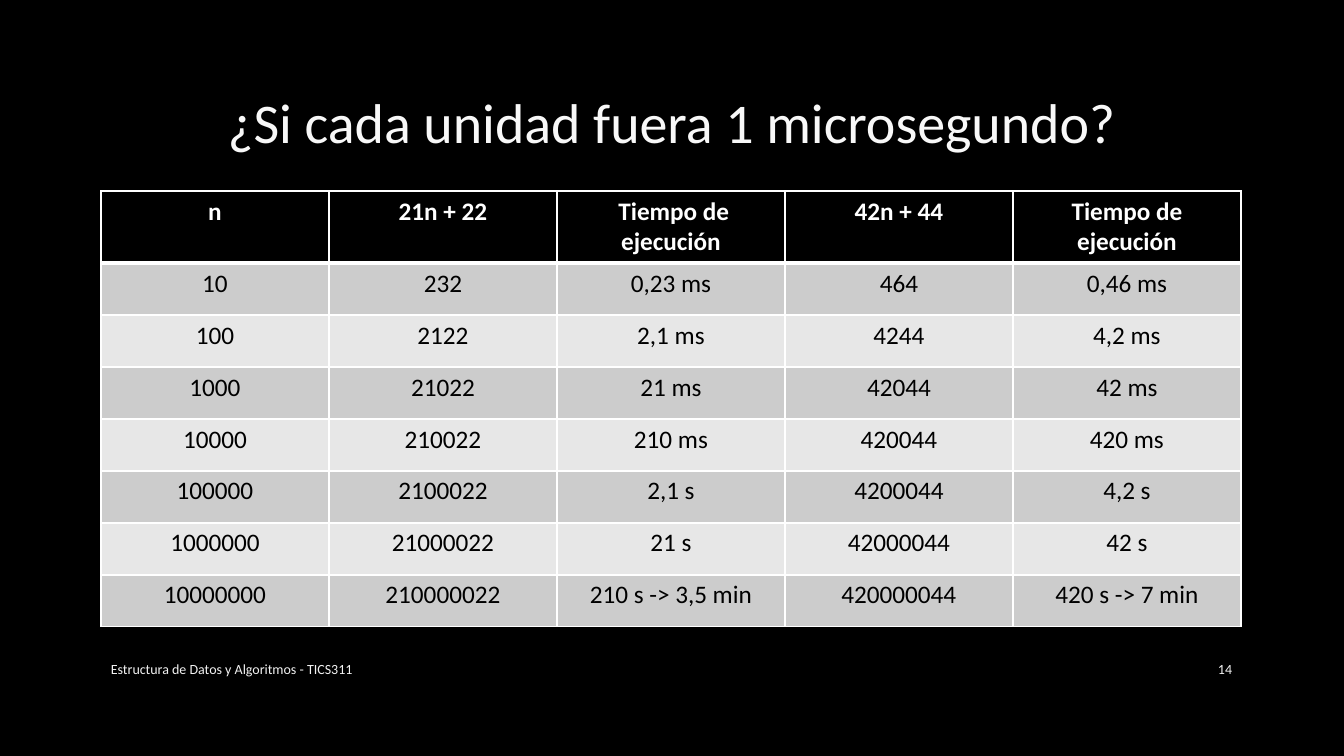
from dataclasses import dataclass

from lxml import etree
from pptx import Presentation
from pptx import util as u
from pptx.dml.color import RGBColor
from pptx.enum import text
from pptx.oxml import ns

EMU_PER_PX = 914400 / 100.8


@dataclass(frozen=True)
class Theme:
    font: str = "Calibri"
    background: str = "000000"
    title: str = "F8F8F8"
    footer: str = "F2F2F2"
    header_fill: str = "000000"
    header_text: str = "FFFFFF"
    body_text: str = "000000"
    bands: tuple[str, str] = ("CCCCCC", "E7E7E7")
    border: str = "FFFFFF"
    title_size: int = 40
    table_size: int = 18
    footer_size: int = 10


@dataclass(frozen=True)
class Label:
    content: str
    left: int
    top: int
    width: int
    height: int
    size: int
    color: str
    align: text.PP_ALIGN


THEME = Theme()
LEFT, TABLE_TOP = 101, 191
COLUMN_WIDTH, HEADER_HEIGHT, ROW_HEIGHT = 228, 72, 52
FOOTER_TOP, FOOTER_HEIGHT = 649, 40

LABELS = [
    Label("¿Si cada unidad fuera 1 microsegundo?", LEFT, 68, 1141, 107,
          THEME.title_size, THEME.title, text.PP_ALIGN.CENTER),
    Label("Estructura de Datos y Algoritmos - TICS311", LEFT, FOOTER_TOP, 736, FOOTER_HEIGHT,
          THEME.footer_size, THEME.footer, text.PP_ALIGN.LEFT),
    Label("14", 1159, FOOTER_TOP, 83, FOOTER_HEIGHT,
          THEME.footer_size, THEME.footer, text.PP_ALIGN.RIGHT),
]

HEADER = ("n", "21n + 22", " Tiempo de ejecución", "42n + 44", "Tiempo de ejecución")
TIMES = [
    ("0,23 ms", "0,46 ms"),
    ("2,1 ms", "4,2 ms"),
    ("21 ms", "42 ms"),
    ("210 ms", "420 ms"),
    ("2,1 s", "4,2 s"),
    ("21 s", "42 s"),
    ("210 s -> 3,5 min", "420 s -> 7 min"),
]


def px(value: int) -> u.Emu:
    return u.Emu(round(value * EMU_PER_PX))


def format_text(tf, size: int, color: str, align: text.PP_ALIGN, bold: bool = False) -> None:
    for p in tf.paragraphs:
        p.alignment = align
        for r in p.runs:
            r.font.name = THEME.font
            r.font.size = u.Pt(size)
            r.font.bold = bold
            r.font.color.rgb = RGBColor.from_string(color)


def add_label(s, label: Label) -> None:
    sp = s.shapes.add_textbox(px(label.left), px(label.top), px(label.width), px(label.height))
    tf = sp.text_frame
    tf.word_wrap = True
    tf.vertical_anchor = text.MSO_ANCHOR.MIDDLE
    tf.text = label.content
    format_text(tf, label.size, label.color, label.align)


def set_borders(cell, top: int, bottom: int) -> None:
    properties = cell._tc.get_or_add_tcPr()
    for side, points in (("L", 1), ("R", 1), ("T", top), ("B", bottom)):
        line = etree.SubElement(properties, ns.qn(f"a:ln{side}"), w=str(u.Pt(points)))
        fill = etree.SubElement(line, ns.qn("a:solidFill"))
        etree.SubElement(fill, ns.qn("a:srgbClr"), val=THEME.border)


def add_times_table(s) -> None:
    rows = [HEADER]
    for power, (time, double_time) in enumerate(TIMES, start=1):
        n = 10 ** power
        rows.append((str(n), str(21 * n + 22), time, str(42 * n + 44), double_time))
    heights = [HEADER_HEIGHT] + [ROW_HEIGHT] * len(TIMES)
    table = s.shapes.add_table(len(rows), len(HEADER), px(LEFT), px(TABLE_TOP),
                               px(COLUMN_WIDTH * len(HEADER)), px(sum(heights))).table
    table.horz_banding = False
    for column in table.columns:
        column.width = px(COLUMN_WIDTH)
    for i, values in enumerate(rows):
        table.rows[i].height = px(heights[i])
        is_header = i == 0
        fill = THEME.header_fill if is_header else THEME.bands[(i - 1) % 2]
        color = THEME.header_text if is_header else THEME.body_text
        for j, value in enumerate(values):
            cell = table.cell(i, j)
            set_borders(cell, top=3 if i == 1 else 1, bottom=3 if is_header else 1)
            cell.fill.solid()
            cell.fill.fore_color.rgb = RGBColor.from_string(fill)
            cell.text_frame.text = value
            format_text(cell.text_frame, THEME.table_size, color,
                        text.PP_ALIGN.CENTER, is_header)


def main() -> None:
    prs = Presentation()
    prs.slide_width, prs.slide_height = px(1344), px(756)
    s = prs.slides.add_slide(prs.slide_layouts[6])
    s.background.fill.solid()
    s.background.fill.fore_color.rgb = RGBColor.from_string(THEME.background)
    add_times_table(s)
    for label in LABELS:
        add_label(s, label)
    prs.save("out.pptx")


if __name__ == "__main__":
    main()
